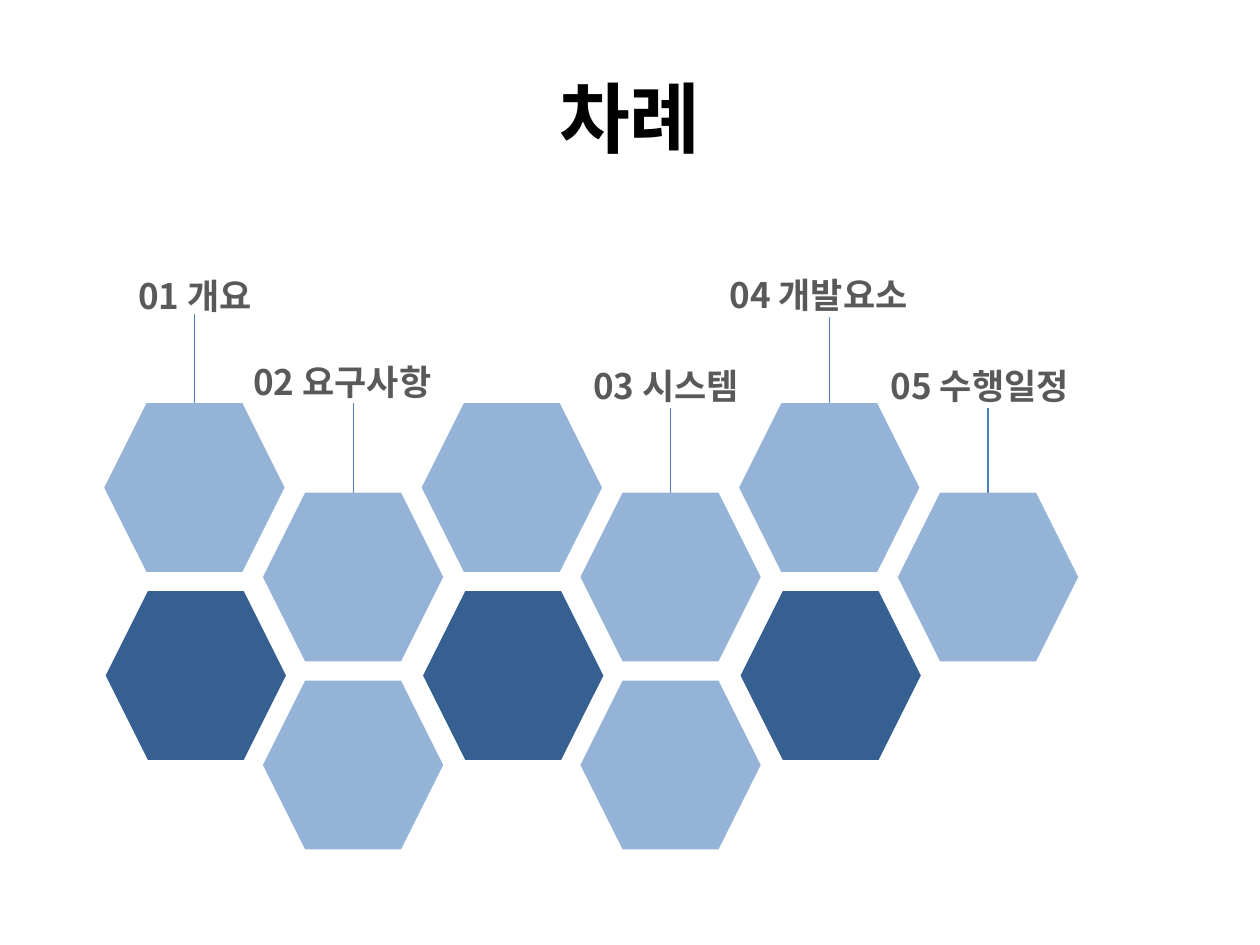
from dataclasses import dataclass

from lxml import etree
from pptx import Presentation
from pptx.dml.color import RGBColor
from pptx.enum.shapes import MSO_CONNECTOR, MSO_SHAPE
from pptx.enum.text import MSO_ANCHOR, MSO_AUTO_SIZE, PP_ALIGN
from pptx.oxml.ns import qn
from pptx.util import Pt

HEXAGON = MSO_SHAPE.HEXAGON
STRAIGHT = MSO_CONNECTOR.STRAIGHT
MIDDLE = MSO_ANCHOR.MIDDLE
FIT_SHAPE = MSO_AUTO_SIZE.SHAPE_TO_FIT_TEXT
CENTER = PP_ALIGN.CENTER


@dataclass(frozen=True)
class Theme:
    font: str = "Noto Sans CJK KR"
    title_color: RGBColor = RGBColor(0x00, 0x00, 0x00)
    label_color: RGBColor = RGBColor(0x59, 0x59, 0x59)
    light: RGBColor = RGBColor(0x95, 0xB3, 0xD7)
    dark: RGBColor = RGBColor(0x37, 0x60, 0x92)
    leader: RGBColor = RGBColor(0x4B, 0x7E, 0xBC)
    title_size: int = 44
    label_size: int = 20
    leader_width: float = 0.75


THEME = Theme()

# Honeycomb geometry, in points
HEX_WIDTH, HEX_HEIGHT = 103, 96.5
COLUMN_PITCH, ROW_PITCH = 90.7, 107.4
STAGGER = 51.1
LOWER_ROW_SHIFT = 0.8
UPPER_COLUMNS, LOWER_COLUMNS = 6, 5
LEADER_LENGTH = 51.1
LABEL_HEIGHT = 31.7

# Column, label, label left, label top, label width, leader top;
# positions are relative to the honeycomb's top left corner
CHAPTERS = [
    (0, "01 개요", 12.2, -77, 85.7, -51.1),
    (1, "02 요구사항", 77.9, -28.1, 126, 0),
    (3, "03 시스템", 272.3, -25.9, 105.8, 2.9),
    (4, "04 개발요소", 350.1, -77.8, 126, -49),
    (5, "05 수행일정", 442.2, -25.9, 126, 2.9),
]


def add_run(paragraph, text, size, color):
    run = paragraph.add_run()
    run.text = text
    run.font.size = Pt(size)
    run.font.bold = True
    run.font.color.rgb = color
    run.font.name = THEME.font
    east_asian = etree.SubElement(run.font._element, qn("a:ea"))
    east_asian.set("typeface", THEME.font)


def place_title(slide, left, top, width, height):
    title = slide.shapes.title
    title.left, title.top = Pt(left), Pt(top)
    title.width, title.height = Pt(width), Pt(height)
    title.text_frame.vertical_anchor = MIDDLE
    paragraph = title.text_frame.paragraphs[0]
    paragraph.alignment = CENTER
    add_run(paragraph, "차례", THEME.title_size, THEME.title_color)


def add_hexagon(slide, left, top, color):
    cell = slide.shapes.add_shape(
        HEXAGON, Pt(left), Pt(top), Pt(HEX_WIDTH), Pt(HEX_HEIGHT))
    cell.shadow.inherit = False
    cell.fill.solid()
    cell.fill.fore_color.rgb = color
    cell.line.fill.background()


def add_honeycomb(slide, left, top):
    # Odd columns sit lower; even cells of the lower row are dark
    for row, columns in enumerate((UPPER_COLUMNS, LOWER_COLUMNS)):
        for column in range(columns):
            odd = column % 2
            dark = row == 1 and not odd
            add_hexagon(
                slide,
                left + column * COLUMN_PITCH + dark * LOWER_ROW_SHIFT,
                top + row * ROW_PITCH + odd * STAGGER,
                THEME.dark if dark else THEME.light)


def add_leaders(slide, left, top):
    for column, *_, leader_top in CHAPTERS:
        x = left + column * COLUMN_PITCH + HEX_WIDTH / 2
        start = top + leader_top
        leader = slide.shapes.add_connector(
            STRAIGHT, Pt(x), Pt(start), Pt(x), Pt(start + LEADER_LENGTH))
        leader.line.color.rgb = THEME.leader
        leader.line.width = Pt(THEME.leader_width)
        etree.SubElement(leader._element.spPr, qn("a:effectLst"))


def add_labels(slide, left, top):
    for _, text, x, y, width, _ in CHAPTERS:
        label = slide.shapes.add_textbox(
            Pt(left + x), Pt(top + y), Pt(width), Pt(LABEL_HEIGHT))
        label.text_frame.word_wrap = False
        label.text_frame.auto_size = FIT_SHAPE
        add_run(label.text_frame.paragraphs[0], text,
                THEME.label_size, THEME.label_color)


def build_contents_slide(presentation):
    slide = presentation.slides.add_slide(presentation.slide_layouts[5])
    place_title(slide, 36, 21.6, 648, 90)
    # Leaders go behind the cells so that their ends are covered
    honeycomb_origin = 59.6, 230.4
    add_leaders(slide, *honeycomb_origin)
    add_honeycomb(slide, *honeycomb_origin)
    add_labels(slide, *honeycomb_origin)


def main():
    presentation = Presentation()
    presentation.slide_width, presentation.slide_height = Pt(720), Pt(540)
    build_contents_slide(presentation)
    presentation.save("out.pptx")


if __name__ == "__main__":
    main()
